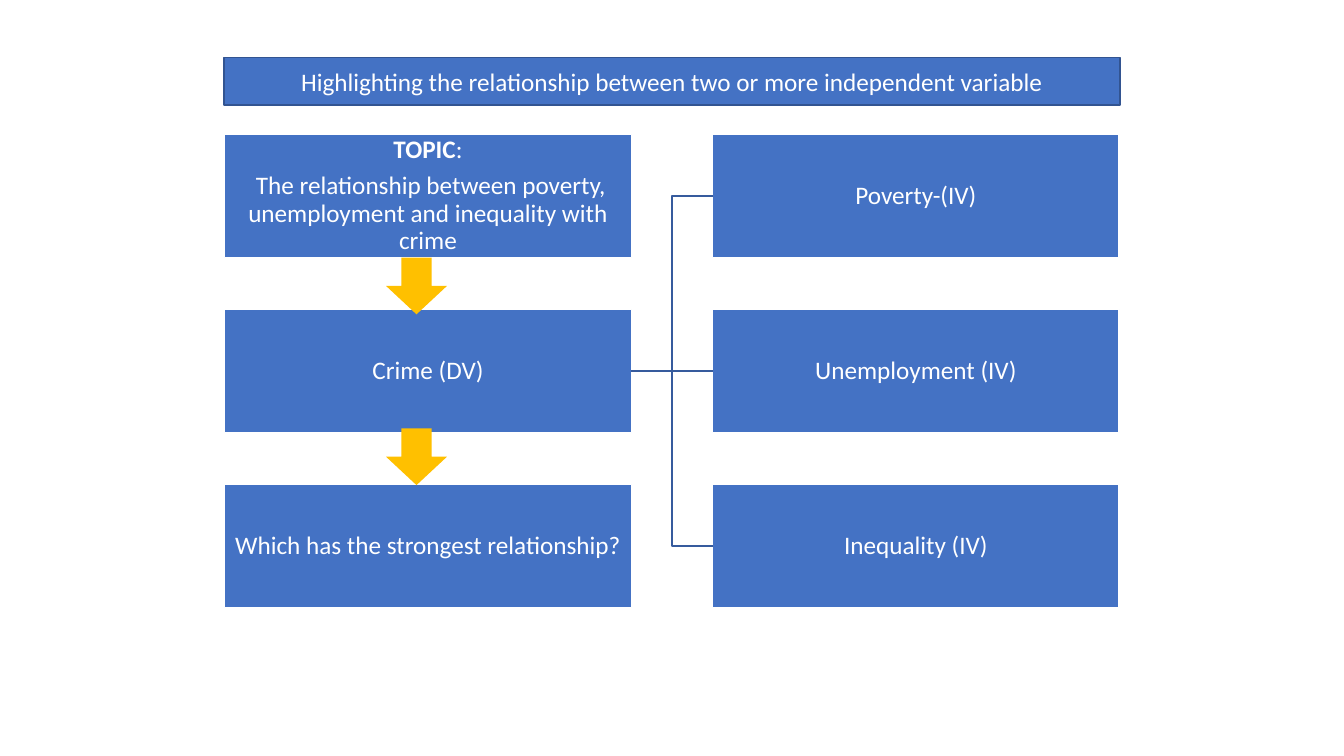
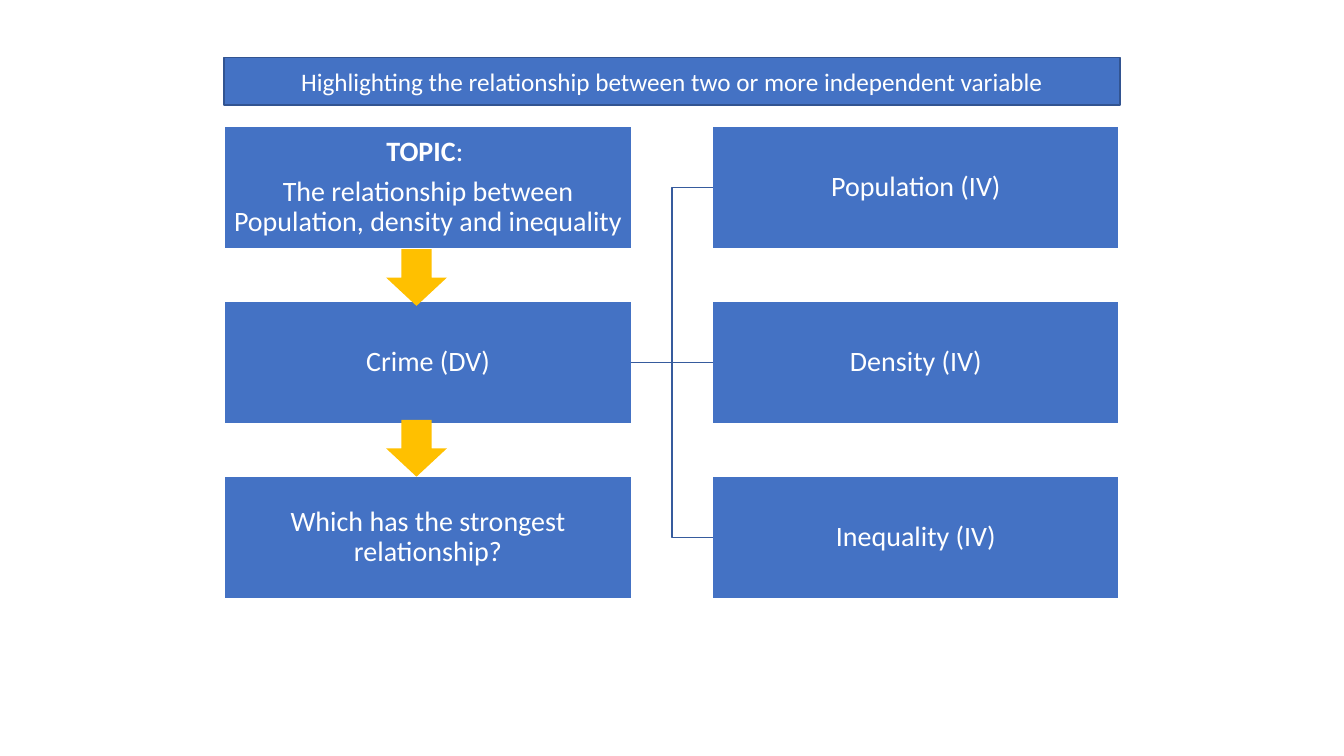
from lxml.etree import SubElement
from pptx import Presentation
from pptx.dml.color import RGBColor
from pptx.enum.shapes import MSO_CONNECTOR as Connector, MSO_SHAPE as Shape
from pptx.enum.text import MSO_ANCHOR as Anchor, MSO_AUTO_SIZE as AutoSize, PP_ALIGN as Align
from pptx.oxml.ns import qn
from pptx.util import Pt

BLUE = RGBColor(0x44, 0x72, 0xC4)
BANNER_EDGE = RGBColor(0x32, 0x54, 0x91)
LINK_BLUE = RGBColor(0x36, 0x5B, 0x9D)
GOLD = RGBColor(0xFF, 0xC0, 0x00)
WHITE = RGBColor(0xFF, 0xFF, 0xFF)
FONT = "Calibri"
TITLE_ONLY = 5

BANNER = (160, 41, 640, 34)
BANNER_TEXT = "Highlighting the relationship between two or more independent variable"
CHART_LEFT = 160.5
BOX_WIDTH, BOX_HEIGHT = 290.5, 88
COLUMN_PITCH, ROW_PITCH = 348.5, 125
ARROW_WIDTH, ARROW_HEIGHT = 43.5, 40.5
ARROW_INDENT, ARROW_PITCH = 115.25, 122

QUESTION = [("Which has the strongest relationship?", False)]
OUTCOME = [("Crime (DV)", False)]

# Each slide: top of the diagram, text size, topic paragraphs, independent variables.
DIAGRAMS = [
    (96, 18,
     [[("TOPIC", True), (":", False)],
      [(" The relationship between poverty, unemployment and inequality with crime", False)]],
     ["Poverty-(IV)", "Unemployment (IV)", "Inequality (IV)"]),
    (90, 20,
     [[("TOPIC", True), (": ", False)],
      [("The relationship between Population, density and inequality", False)]],
     ["Population (IV)", "Density (IV)", "Inequality (IV)"]),
]


def paint(shape, fill, line=None):
    """Give a shape a solid fill and a one-point line, or no line."""
    shape.fill.solid()
    shape.fill.fore_color.rgb = fill
    if line is None:
        shape.line.fill.background()
    else:
        shape.line.color.rgb = line
        shape.line.width = Pt(1)


def style_paragraph(paragraph, size):
    """Set centred white text."""
    paragraph.alignment = Align.CENTER
    paragraph.font.name = FONT
    paragraph.font.size = Pt(size)
    paragraph.font.color.rgb = WHITE


def add_shape(slide, kind, box, fill, line=None):
    """Add a flat preset shape in a box given in points."""
    shape = slide.shapes.add_shape(kind, *map(Pt, box))
    shape.shadow.inherit = False
    paint(shape, fill, line)
    return shape


def set_banner(slide, box):
    """Turn the title placeholder into the banner."""
    title = slide.shapes.title
    title.left, title.top, title.width, title.height = map(Pt, box)
    paint(title, BLUE, BANNER_EDGE)
    frame = title.text_frame
    frame.text = BANNER_TEXT
    frame.auto_size = AutoSize.NONE
    frame.vertical_anchor = Anchor.MIDDLE
    style_paragraph(frame.paragraphs[0], 18)


def add_box(slide, left, top, paragraphs, size):
    """Add one diagram box; each paragraph is a list of (text, bold) runs."""
    shape = add_shape(slide, Shape.RECTANGLE, (left, top, BOX_WIDTH, BOX_HEIGHT), BLUE, WHITE)
    frame = shape.text_frame
    frame.word_wrap = True
    frame.vertical_anchor = Anchor.MIDDLE
    frame.margin_left = frame.margin_right = frame.margin_top = frame.margin_bottom = Pt(1)
    for index, runs in enumerate(paragraphs):
        paragraph = frame.add_paragraph() if index else frame.paragraphs[0]
        style_paragraph(paragraph, size)
        paragraph.line_spacing = 0.9
        paragraph.space_after = Pt(0.35 * size)
        for text, bold in runs:
            run = paragraph.add_run()
            run.text = text
            run.font.bold = bold
    return shape


def link(slide, source, target):
    """Connect the right side of one box to the left side of another."""
    kind = Connector.STRAIGHT if source.top == target.top else Connector.ELBOW
    connector = slide.shapes.add_connector(kind, 0, 0, 0, 0)
    connector.begin_connect(source, 3)
    connector.end_connect(target, 1)
    connector.line.color.rgb = LINK_BLUE
    connector.line.width = Pt(1)
    SubElement(connector._element.spPr, qn("a:effectLst"))


def add_diagram(slide, left, top, size, topic, variables):
    """Add the column of steps, the column of variables, links and arrows."""
    steps, factors = [], []
    for row, (step, variable) in enumerate(zip([topic, [OUTCOME], [QUESTION]], variables)):
        y = top + row * ROW_PITCH
        steps.append(add_box(slide, left, y, step, size))
        factors.append(add_box(slide, left + COLUMN_PITCH, y, [[(variable, False)]], size))
    for factor in factors:
        link(slide, steps[1], factor)
    for row in range(2):
        arrow_top = top + BOX_HEIGHT + row * ARROW_PITCH
        add_shape(slide, Shape.DOWN_ARROW,
                  (left + ARROW_INDENT, arrow_top, ARROW_WIDTH, ARROW_HEIGHT), GOLD)


def main():
    """Build and save the presentation."""
    presentation = Presentation()
    presentation.slide_width, presentation.slide_height = Pt(960), Pt(540)
    for top, size, topic, variables in DIAGRAMS:
        slide = presentation.slides.add_slide(presentation.slide_layouts[TITLE_ONLY])
        set_banner(slide, BANNER)
        add_diagram(slide, CHART_LEFT, top, size, topic, variables)
    presentation.save("out.pptx")


main()
